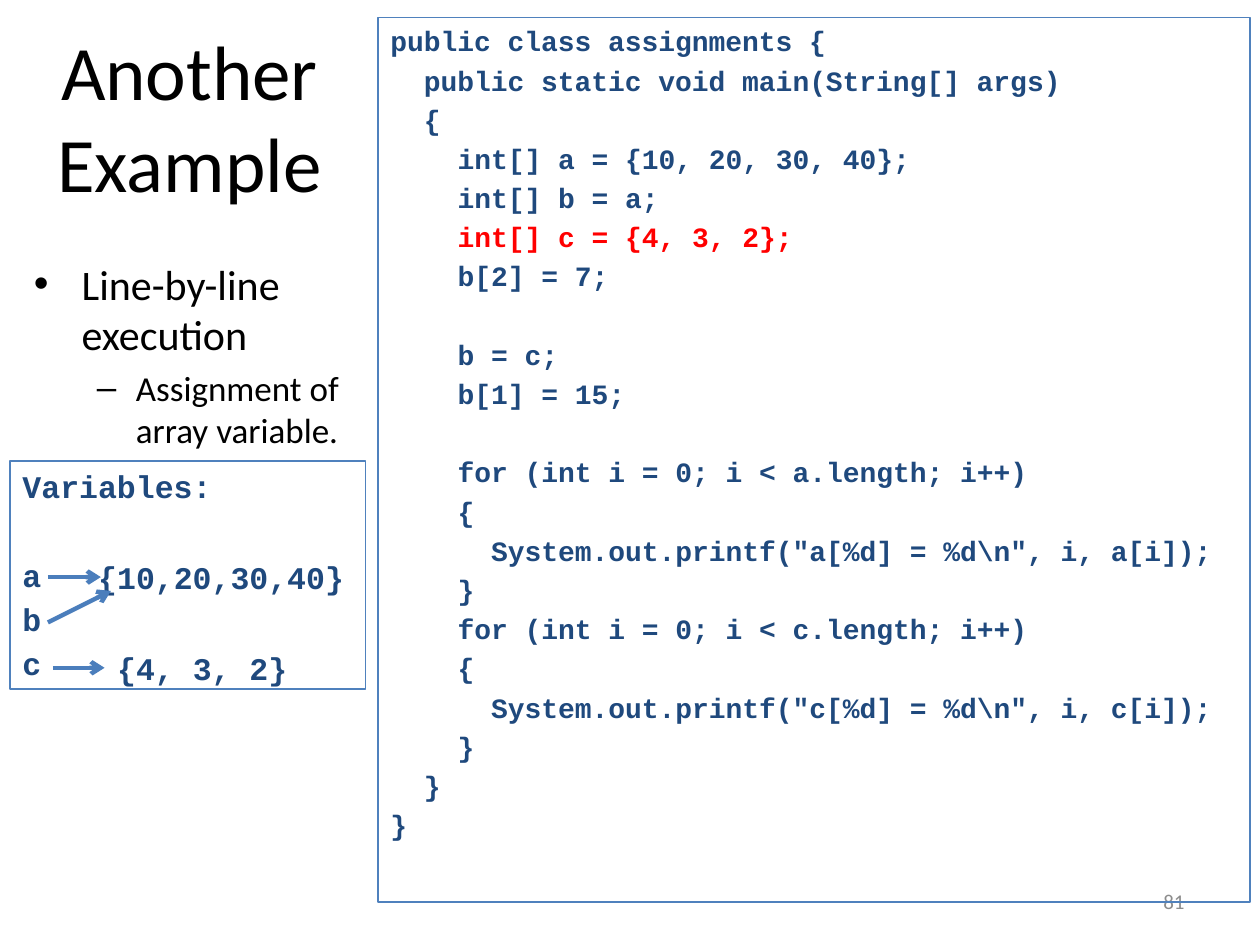
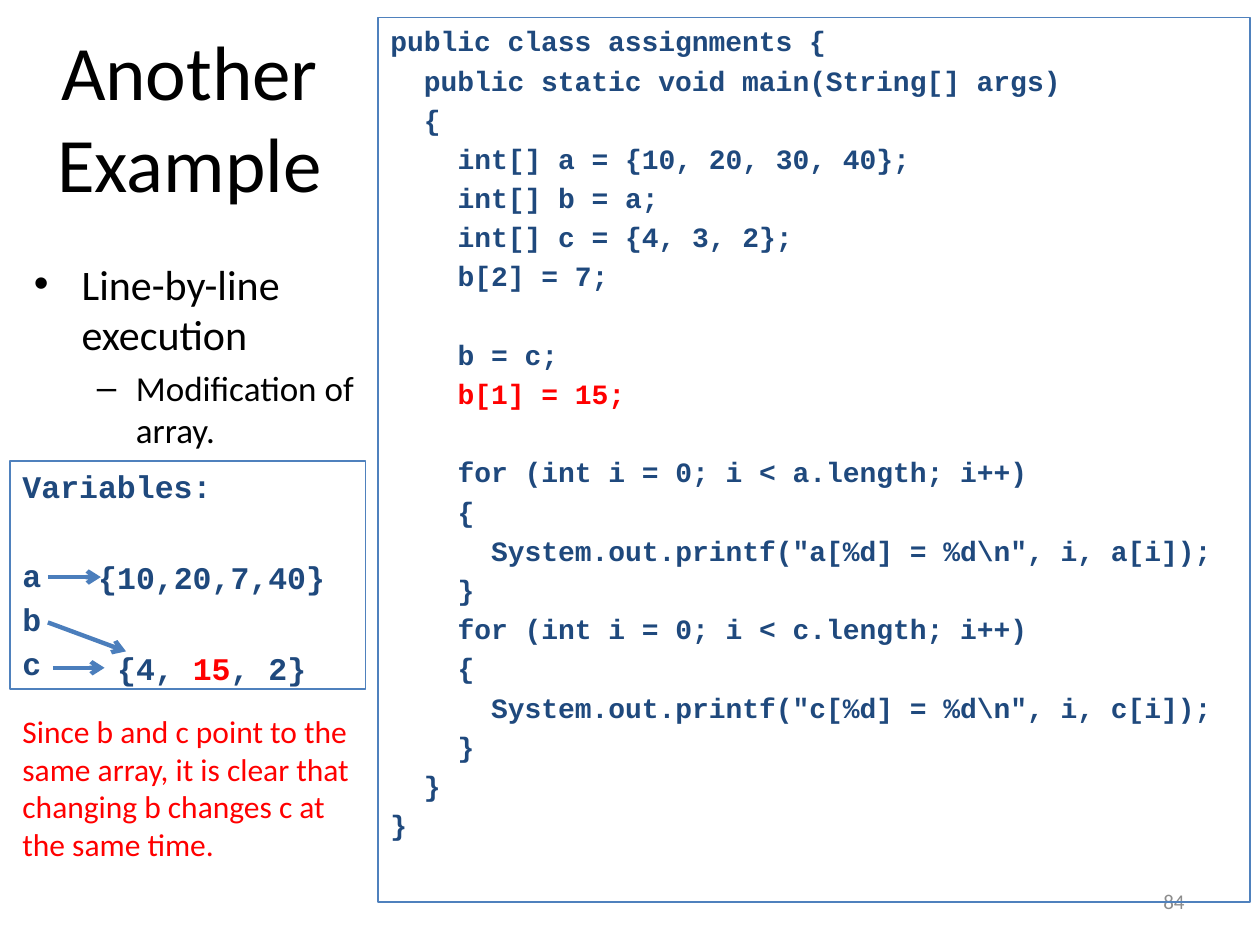
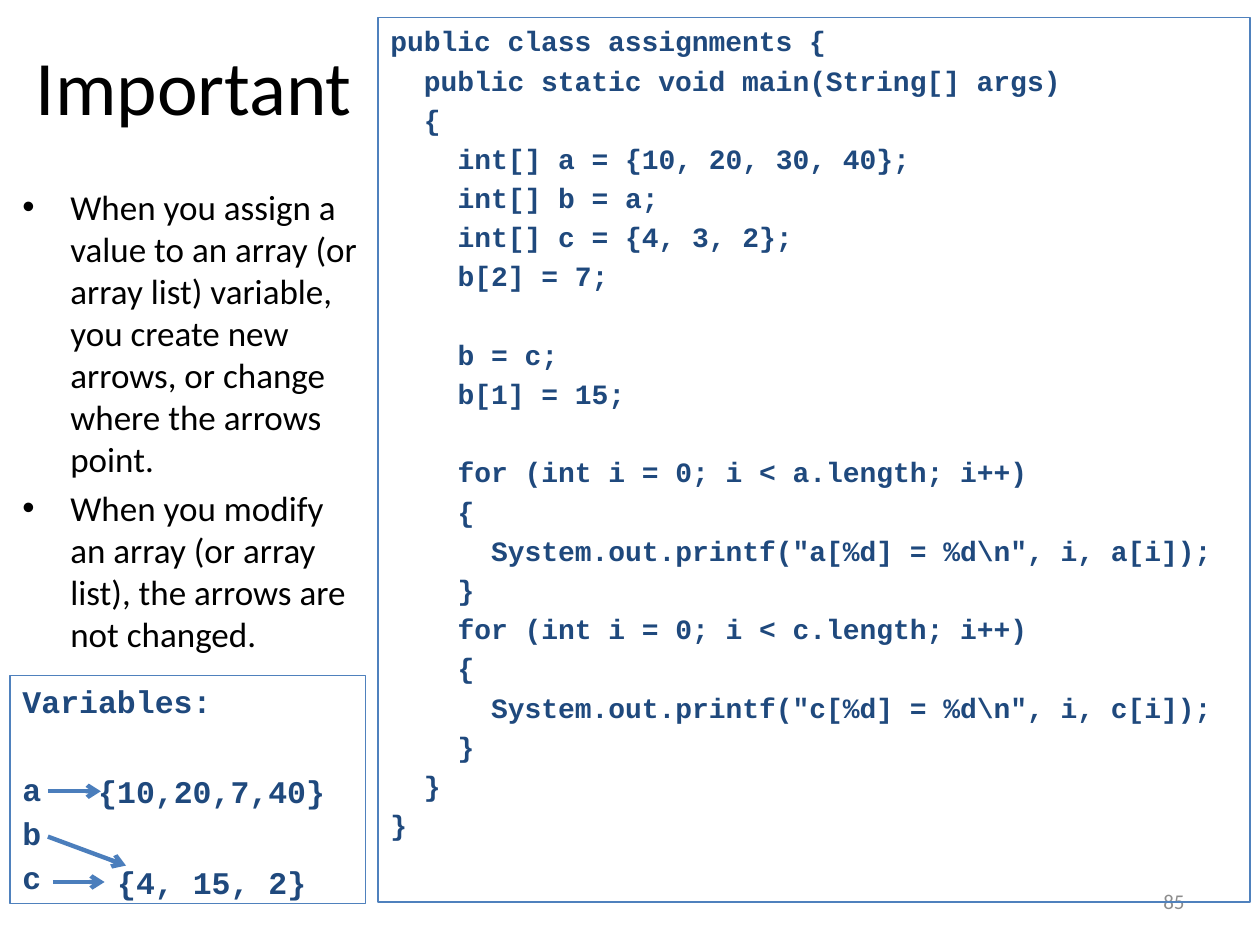
import pptx
import pptx.util
import pptx.dml.color
import pptx.enum.shapes
import pptx.enum.text
import pptx.oxml.ns
import lxml.etree

# Shared style
BODY_FONT, CODE_FONT = "Calibri", "Courier New"
BLACK, NAVY, RED = "000000", "1F497D", "FF0000"
FRAME, ARROW, GREY = "4F81BD", "4B7EBC", "8C8C8C"
CHAR_WIDTH = 0.6      # monospaced advance, share of the type size
LINE_PITCH = 1.4      # code line with its spacing, share of the type size
SPACING = 0.2         # space before a paragraph, share of the type size
LEFT_MARGIN = 0.08
ROW_HEIGHT = 0.36     # row of the variables panel

# Bullet levels: character, text indent in inches, hanging indent in inches
BULLETS = [("\u2022", 0.38, 0.38), ("\u2013", 0.81, 0.31)]

PROGRAM = r"""public class assignments {
  public static void main(String[] args)
  {
    int[] a = {10, 20, 30, 40};
    int[] b = a;
    int[] c = {4, 3, 2};
    b[2] = 7;

    b = c;
    b[1] = 15;

    for (int i = 0; i < a.length; i++)
    {
      System.out.printf("a[%d] = %d\n", i, a[i]);
    }
    for (int i = 0; i < c.length; i++)
    {
      System.out.printf("c[%d] = %d\n", i, c[i]);
    }
  }
}"""


def inches(*lengths):
    return [pptx.util.Inches(length) for length in lengths]


def color(hex_string):
    return pptx.dml.color.RGBColor.from_string(hex_string)


def add_xml(parent, tag, **attributes):
    return lxml.etree.SubElement(parent, pptx.oxml.ns.qn(tag), **attributes)


def style(paragraph, size, hex_string, font=BODY_FONT, bold=False):
    for run in paragraph.runs:
        run.font.name, run.font.size = font, pptx.util.Pt(size)
        run.font.bold = bold
        run.font.color.rgb = color(hex_string)


def set_indent(paragraph, left, hanging=0):
    properties = paragraph._p.get_or_add_pPr()
    properties.set("marL", str(int(left)))
    properties.set("indent", str(-int(hanging)))
    return properties


def set_margins(frame, left, top, right, bottom):
    frame.margin_left, frame.margin_top, frame.margin_right, frame.margin_bottom = \
        inches(left, top, right, bottom)


def next_paragraph(frame, index):
    return frame.paragraphs[0] if index == 0 else frame.add_paragraph()


def add_title(slide, text, top, width):
    title = slide.shapes.title
    title.left, title.top, title.width, title.height = inches(0.17, top, width, 1)
    frame = title.text_frame
    frame.text = text
    frame.word_wrap = True
    frame.auto_size = pptx.enum.text.MSO_AUTO_SIZE.NONE
    frame.vertical_anchor = pptx.enum.text.MSO_ANCHOR.MIDDLE
    frame.paragraphs[0].alignment = pptx.enum.text.PP_ALIGN.CENTER
    style(frame.paragraphs[0], 44, BLACK)


def add_text(slide, box, text, size, hex_string):
    frame = slide.shapes.add_textbox(*inches(*box)).text_frame
    frame.word_wrap = True
    frame.text = text
    style(frame.paragraphs[0], size, hex_string)
    return frame


def add_bullets(slide, box, items):
    """Each item is (level, size, text)."""
    frame = slide.shapes.add_textbox(*inches(*box)).text_frame
    frame.word_wrap = True
    for index, (level, size, text) in enumerate(items):
        paragraph = next_paragraph(frame, index)
        paragraph.text = text
        paragraph.level = level
        paragraph.space_before = pptx.util.Pt(SPACING * size)
        character, left, hanging = BULLETS[level]
        properties = set_indent(paragraph, *inches(left, hanging))
        add_xml(properties, "a:buFont", typeface="Arial")
        add_xml(properties, "a:buChar", char=character)
        style(paragraph, size, BLACK)


def write_code(paragraph, code, size, highlight=None):
    """Code in the shared style, with the highlighted part in red."""
    pieces = code.partition(highlight) if highlight else (code,)
    for piece in filter(None, pieces):
        paragraph.add_run().text = piece
    style(paragraph, size, NAVY, CODE_FONT, bold=True)
    for run in paragraph.runs:
        if run.text == highlight:
            run.font.color.rgb = color(RED)


def add_code_box(shapes, box, lines, size, highlight=None):
    """Framed code; an empty line becomes extra space before the next one."""
    panel = shapes.add_shape(pptx.enum.shapes.MSO_SHAPE.RECTANGLE, *inches(*box))
    panel.shadow.inherit = False
    panel.fill.background()
    panel.line.color.rgb = color(FRAME)
    panel.line.width = pptx.util.Pt(0.75)
    frame = panel.text_frame
    frame.word_wrap = True
    frame.vertical_anchor = pptx.enum.text.MSO_ANCHOR.TOP
    set_margins(frame, 0.1, 0.05, 0.1, 0)

    skipped = written = 0
    for line in lines:
        if not line:
            skipped += 1
            continue
        paragraph = next_paragraph(frame, written)
        paragraph.alignment = pptx.enum.text.PP_ALIGN.LEFT
        paragraph.space_before = pptx.util.Pt((SPACING + skipped * LINE_PITCH) * size)
        code = line.lstrip()
        depth = len(line) - len(code)
        set_indent(paragraph, pptx.util.Pt(depth * CHAR_WIDTH * size))
        write_code(paragraph, code, size, highlight)
        skipped, written = 0, written + 1


def add_array(shapes, left, row, values, highlight=None):
    """Array contents, centred on their row."""
    box = (left, row - ROW_HEIGHT / 2, 2.85 - left, ROW_HEIGHT)
    frame = shapes.add_textbox(*inches(*box)).text_frame
    frame.word_wrap = True
    frame.vertical_anchor = pptx.enum.text.MSO_ANCHOR.MIDDLE
    set_margins(frame, 0, 0, 0, 0)
    write_code(frame.paragraphs[0], values, 18, highlight)


def add_arrow(shapes, start, end):
    arrow = shapes.add_connector(
        pptx.enum.shapes.MSO_CONNECTOR.STRAIGHT, *inches(*start, *end))
    arrow.line.color.rgb = color(ARROW)
    arrow.line.width = pptx.util.Pt(2.5)
    add_xml(arrow.line._get_or_add_ln(), "a:tailEnd", type="arrow")
    add_xml(arrow._element.spPr, "a:effectLst")


def add_variables(shapes, top, a_values, c_values, b_target, highlight=None):
    """Variables panel with one arrow per reference; b_target is x and drop from top."""
    names = ["Variables:", "", "a", "b", "c"]
    add_code_box(shapes, (LEFT_MARGIN, top, 2.82, 1.81), names, 18)
    a_row, b_row, c_row = (top + 0.92 + ROW_HEIGHT * row for row in range(3))
    add_array(shapes, 0.78, a_row, a_values)
    add_array(shapes, 0.93, c_row, c_values, highlight)
    add_arrow(shapes, (0.38, a_row), (0.8, a_row))
    add_arrow(shapes, (0.38, b_row), (b_target[0], top + b_target[1]))
    add_arrow(shapes, (0.42, c_row), (0.83, c_row))


def add_example_slide(deck, number, title, title_box, bullet_box, bullets, current_line=None):
    """Title, bullets, page number and the program listing."""
    slide = deck.slides.add_slide(deck.slide_layouts[5])
    add_title(slide, title, *title_box)
    add_bullets(slide, bullet_box, bullets)
    page = add_text(slide, (7.17, 6.95, 2.33, 0.4), number, 12, GREY)
    page.vertical_anchor = pptx.enum.text.MSO_ANCHOR.MIDDLE
    page.paragraphs[0].alignment = pptx.enum.text.PP_ALIGN.RIGHT
    add_code_box(slide.shapes, (3, 0.14, 6.92, 7.02), PROGRAM.split("\n"), 16, current_line)
    return slide


def main():
    deck = pptx.Presentation()
    deck.slide_width, deck.slide_height = inches(10, 7.5)
    execution = (0, 24, "Line-by-line execution")
    to_a, to_c = (0.88, 1.03), (1, 1.51)

    # Assigning an array variable
    slide = add_example_slide(
        deck, "81", "Another Example", (0.42, 2.67), (0.17, 2, 2.67, 5.08),
        [execution, (1, 20, "Assignment of array variable.")], "int[] c = {4, 3, 2};")
    add_variables(slide.shapes, 3.66, "{10,20,30,40}", "{4, 3, 2}", to_a)

    # Modifying a shared array
    slide = add_example_slide(
        deck, "84", "Another Example", (0.42, 2.67), (0.17, 2, 2.83, 5.08),
        [execution, (1, 20, "Modification of array.")], "b[1] = 15;")
    add_variables(slide.shapes, 3.66, "{10,20,7,40}", "{4, 15, 2}", to_c, "15")
    add_text(slide, (LEFT_MARGIN, 5.6, 2.83, 1.31),
             "Since b and c point to the same array, it is clear that "
             "changing b changes c at the same time.", 18, RED)

    # Summary
    slide = add_example_slide(
        deck, "85", "Important", (0.17, 2.74), (LEFT_MARGIN, 1.42, 2.92, 5.08),
        [(0, 20, "When you assign a value to an array (or array list) variable, "
                 "you create new arrows, or change where the arrows point."),
         (0, 20, "When you modify an array (or array list), the arrows are not changed.")])
    add_variables(slide.shapes.add_group_shape().shapes, 5.36,
                  "{10,20,7,40}", "{4, 15, 2}", to_c)

    deck.save("out.pptx")


main()
